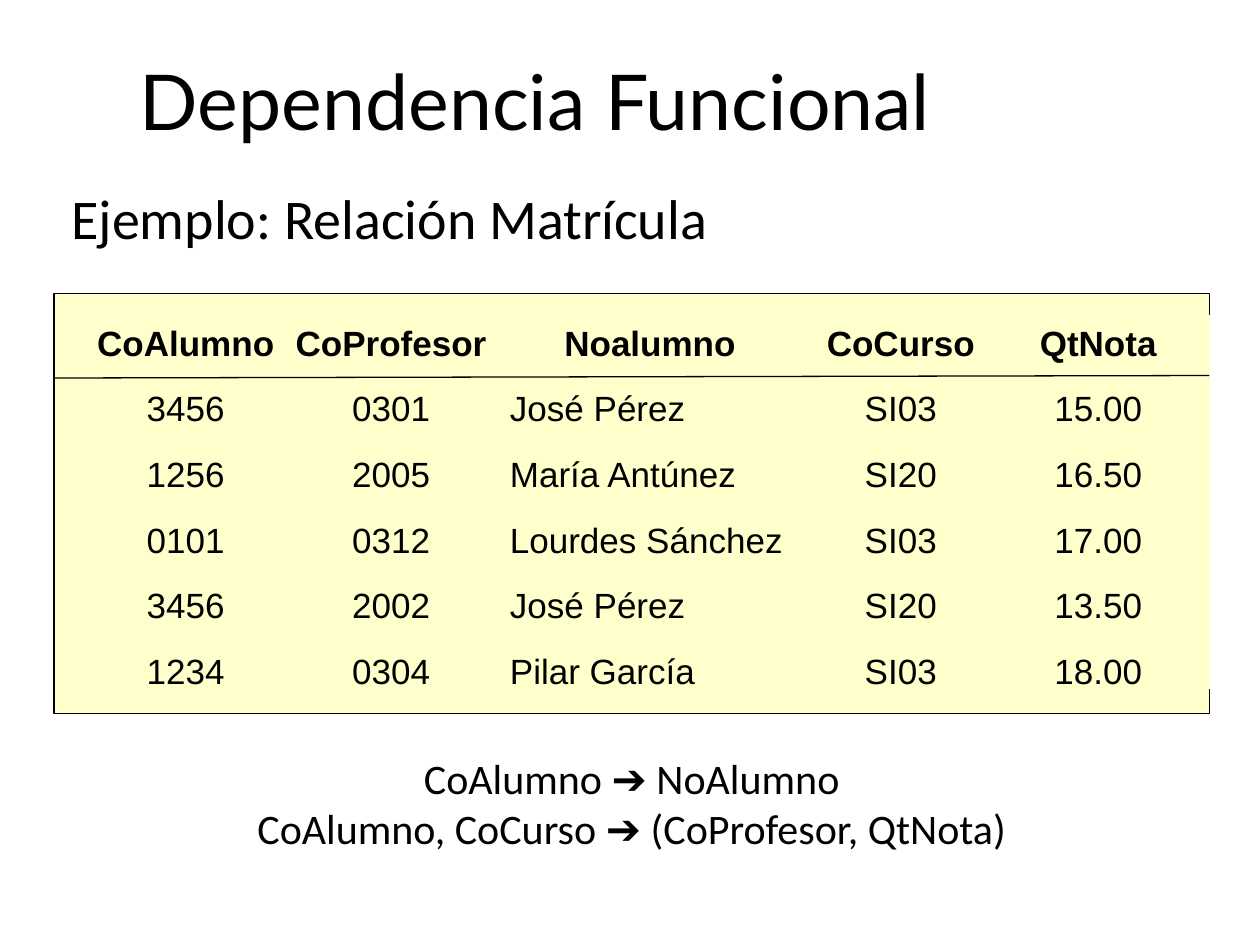
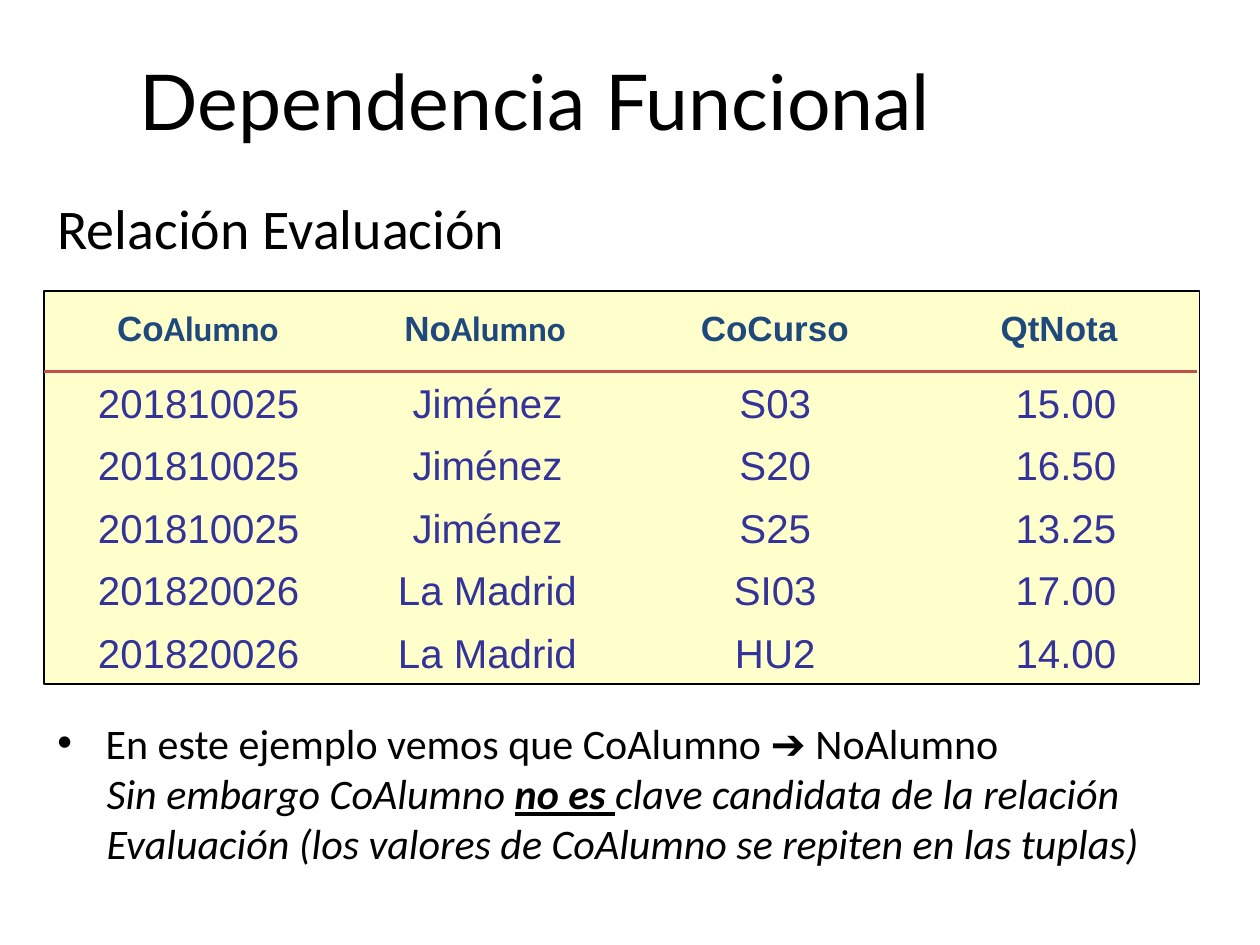
from lxml import etree
from pptx import Presentation, util as u
from pptx.dml.color import RGBColor
from pptx.enum import shapes, text
from pptx.oxml import ns

BLACK = RGBColor(0x00, 0x00, 0x00)
CREAM = RGBColor(0xFF, 0xFF, 0xCC)
NAVY = RGBColor(0x1F, 0x49, 0x7D)
INDIGO = RGBColor(0x33, 0x33, 0x99)
RED = RGBColor(0xC0, 0x50, 0x4D)
CENTER = text.PP_ALIGN.CENTER
LEFT = text.PP_ALIGN.LEFT
MIDDLE = text.MSO_ANCHOR.MIDDLE
TOP = text.MSO_ANCHOR.TOP


def add_box(s, x, y, w, h, fill=None, line=None, anchor=TOP):
    sp = s.shapes.add_shape(shapes.MSO_SHAPE.RECTANGLE, u.Cm(x), u.Cm(y), u.Cm(w), u.Cm(h))
    sp.shadow.inherit = False
    if fill is None:
        sp.fill.background()
    else:
        sp.fill.solid()
        sp.fill.fore_color.rgb = fill
    if line is None:
        sp.line.fill.background()
    else:
        sp.line.color.rgb = line
        sp.line.width = u.Pt(0.75)
    tf = sp.text_frame
    tf.word_wrap = True
    tf.vertical_anchor = anchor
    tf.paragraphs[0].alignment = LEFT
    return tf


def add_run(p, words, size, font="Calibri", color=BLACK, bold=False, italic=False, underline=False):
    r = p.add_run()
    r.text = words
    r.font.size = u.Pt(size)
    r.font.name = font
    r.font.color.rgb = color
    r.font.bold = bold
    r.font.italic = italic
    r.font.underline = underline


prs = Presentation()
prs.slide_width, prs.slide_height = u.Cm(25.4), u.Cm(19.05)
enrolment = prs.slides.add_slide(prs.slide_layouts[6])
evaluation = prs.slides.add_slide(prs.slide_layouts[6])

for s, subtitle, subtitle_at, frame_at in [
    (enrolment, "Ejemplo: Relación Matrícula", (1.19, 3.58, 23.5, 2.11), (1.09, 5.92, 23.29, 8.46)),
    (evaluation, "Relación Evaluación", (0.91, 3.78, 11.28, 1.63), (0.89, 5.87, 23.29, 7.92)),
]:
    p = add_box(s, 0, 0.84, 21.59, 2.34, anchor=MIDDLE).paragraphs[0]
    p.alignment = CENTER
    add_run(p, "Dependencia Funcional", 44, "Lato")
    p = add_box(s, *subtitle_at).paragraphs[0]
    add_run(p, subtitle, 32)
    add_box(s, *frame_at, fill=CREAM, line=BLACK)

enrolment_columns = [
    (1.55, 4.39, CENTER, ["CoAlumno", "3456", "1256", "0101", "3456", "1234"]),
    (5.61, 4.55, CENTER, ["CoProfesor", "0301", "2005", "0312", "2002", "0304"]),
    (10.03, 6.15, LEFT, ["Noalumno", "José Pérez", "María Antúnez", "Lourdes Sánchez",
                         "José Pérez", "Pilar García"]),
    (16.18, 3.96, CENTER, ["CoCurso", "SI03", "SI20", "SI03", "SI20", "SI03"]),
    (19.89, 4.5, CENTER, ["QtNota", "15.00", "16.50", "17.00", "13.50", "18.00"]),
]
for x, w, align, values in enrolment_columns:
    tf = add_box(enrolment, x, 6.35, w, 7.54, fill=CREAM)
    for i, value in enumerate(values):
        p = tf.add_paragraph() if i else tf.paragraphs[0]
        p.alignment = align if i else CENTER
        if i:
            p.space_before = u.Pt(13.5)
        add_run(p, value, 20, "Arial", bold=i == 0)

tf = add_box(enrolment, 1.09, 15.04, 23.29, 2.29)
for i, (source, target) in enumerate([
    ("CoAlumno ", " NoAlumno"),
    ("CoAlumno, CoCurso ", " (CoProfesor, QtNota)"),
]):
    p = tf.add_paragraph() if i else tf.paragraphs[0]
    p.alignment = CENTER
    add_run(p, source, 24)
    add_run(p, "➔", 24, "Arial")
    add_run(p, target, 24)

evaluation_headers = [
    (3.99, 3.25, [("Co", "Arial"), ("Alumno", "Calibri")]),
    (9.78, 3.25, [("No", "Arial"), ("Alumno", "Calibri")]),
    (15.62, 3, [("CoCurso", "Arial")]),
    (21.35, 2.36, [("QtNota", "Arial")]),
]
evaluation_rows = [
    ("201810025", "Jiménez", "S03", "15.00"),
    ("201810025", "Jiménez", "S20", "16.50"),
    ("201810025", "Jiménez", "S25", "13.25"),
    ("201820026", "La Madrid", "SI03", "17.00"),
    ("201820026", "La Madrid", "HU2", "14.00"),
]
cells = [(center, 6.17, w, 0.84, parts, 20, NAVY, True) for center, w, parts in evaluation_headers]
for i, row in enumerate(evaluation_rows):
    for value, center, w in zip(row, (4.01, 9.83, 15.63, 21.49), (4.06, 3.61, 1.68, 2.03)):
        cells.append((center, 7.62 + 1.26 * i, w, 0.97, [(value, "Arial")], 23, INDIGO, False))
for center, y, w, h, parts, size, color, bold in cells:
    tf = add_box(evaluation, center - w / 2, y, w, h, fill=CREAM)
    tf.word_wrap = False
    tf.margin_left = tf.margin_right = tf.margin_top = tf.margin_bottom = 0
    p = tf.paragraphs[0]
    p.alignment = CENTER
    for words, font in parts:
        add_run(p, words, size, font, color, bold)

tf = add_box(evaluation, 0.91, 14.33, 22.76, 3.3)
p = tf.paragraphs[0]
pPr = p._p.get_or_add_pPr()
pPr.set("marL", str(u.Cm(0.97)))
pPr.set("indent", str(-u.Cm(0.97)))
etree.SubElement(pPr, ns.qn("a:buFont")).set("typeface", "Arial")
etree.SubElement(pPr, ns.qn("a:buChar")).set("char", "•")
add_run(p, "En este ejemplo vemos que CoAlumno ", 24)
add_run(p, "➔", 24, "Arial")
add_run(p, " NoAlumno", 24)
p = tf.add_paragraph()
p.alignment = LEFT
pPr = p._p.get_or_add_pPr()
pPr.set("marL", str(u.Cm(0.99)))
pPr.set("indent", "0")
add_run(p, "Sin embargo CoAlumno ", 24, italic=True)
add_run(p, "no es ", 24, bold=True, italic=True, underline=True)
add_run(p, "clave candidata de la relación Evaluación "
           "(los valores de CoAlumno se repiten en las tuplas)", 24, italic=True)

for s, x1, y1, x2, y2, color, width in [
    (enrolment, 1.09, 7.62, 24.38, 7.57, BLACK, 0.75),
    (evaluation, 0.89, 7.49, 24.13, 7.49, RED, 0),
]:
    rule = s.shapes.add_connector(shapes.MSO_CONNECTOR.STRAIGHT, u.Cm(x1), u.Cm(y1), u.Cm(x2), u.Cm(y2))
    rule.line.color.rgb = color
    rule.line.width = u.Pt(width)
    etree.SubElement(rule._element.spPr, ns.qn("a:effectLst"))

prs.save("out.pptx")
